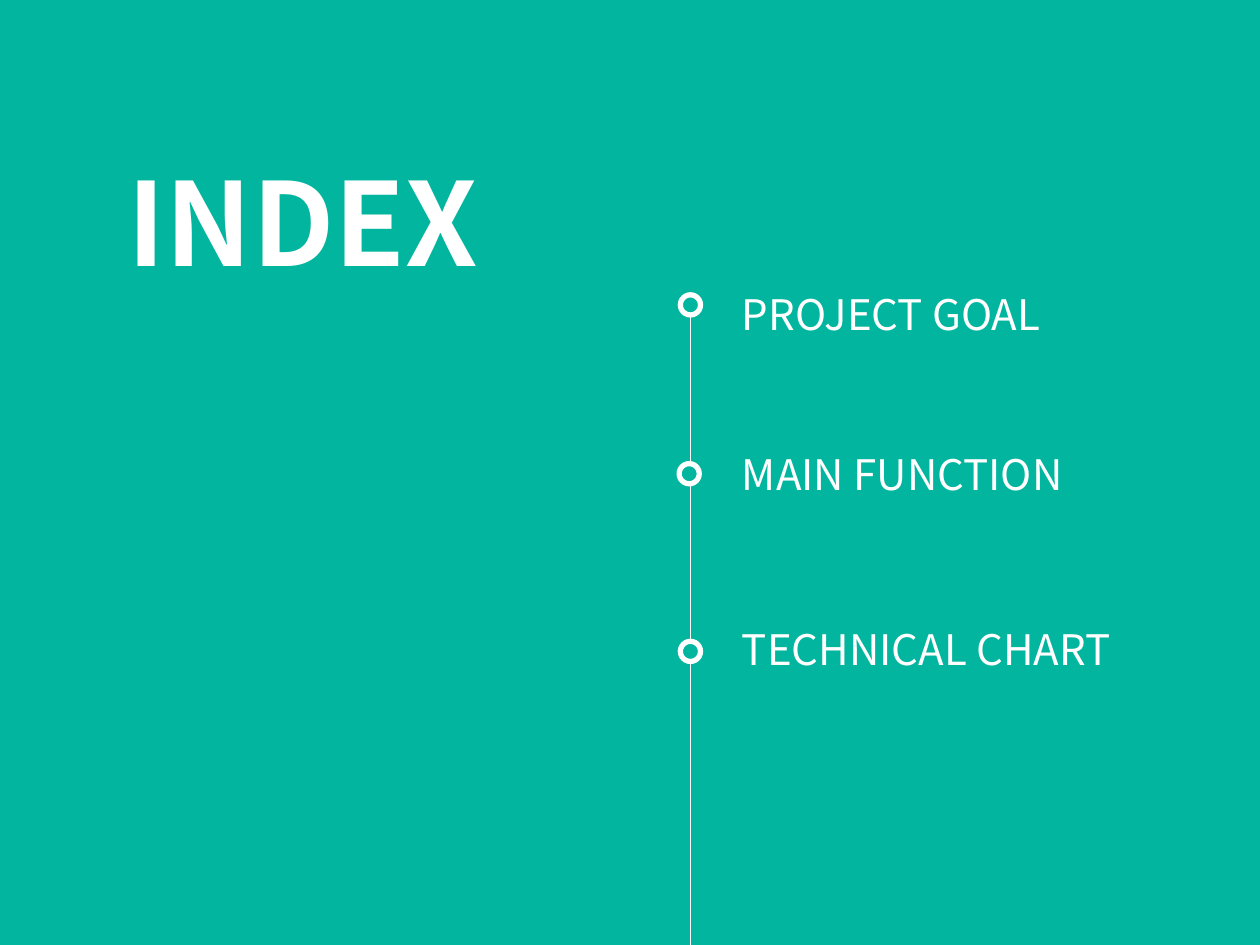
from pptx import Presentation
from pptx.dml.color import RGBColor
from pptx.enum.shapes import MSO_CONNECTOR, MSO_SHAPE
from pptx.enum.text import MSO_ANCHOR, MSO_AUTO_SIZE, PP_ALIGN
from pptx.oxml.ns import qn
from pptx.util import Inches, Pt
from lxml import etree

TEAL = RGBColor(0x02, 0xB5, 0x9F)
WHITE = RGBColor(0xFF, 0xFF, 0xFF)
FONT = "Noto Sans CJK KR"


def set_text(shape, text, size, align, bold=False):
    tf = shape.text_frame
    tf.text = text
    tf.word_wrap = True
    tf.auto_size = MSO_AUTO_SIZE.SHAPE_TO_FIT_TEXT
    tf.vertical_anchor = MSO_ANCHOR.TOP
    p = tf.paragraphs[0]
    p.alignment = align
    font = p.runs[0].font
    font.name, font.size, font.bold = FONT, Pt(size), bold
    font.color.rgb = WHITE


prs = Presentation()
prs.slide_width, prs.slide_height = Inches(10), Inches(7.5)
s = prs.slides.add_slide(prs.slide_layouts[5])
s.background.fill.solid()
s.background.fill.fore_color.rgb = TEAL

# Title
title = s.shapes.title
title.left, title.top = Inches(0.2), Inches(1.15)
title.width, title.height = Inches(4.41), Inches(1.21)
set_text(title, "INDEX", 66, PP_ALIGN.CENTER, bold=True)

# Timeline
line = s.shapes.add_connector(MSO_CONNECTOR.STRAIGHT, Inches(5.48), Inches(2.36),
                              Inches(5.48), Inches(7.5))
line.line.color.rgb = WHITE
line.line.width = Pt(0.75)
etree.SubElement(line._element.spPr, qn("a:effectLst"))

# Index entries: label, label top, marker left, marker top
entries = [
    ("PROJECT GOAL", 2.24, 5.4, 2.34),
    ("MAIN FUNCTION", 3.51, 5.39, 3.68),
    ("TECHNICAL CHART", 4.9, 5.4, 5.09),
]
for label, top, dot_left, dot_top in entries:
    dot = s.shapes.add_shape(MSO_SHAPE.OVAL, Inches(dot_left), Inches(dot_top),
                             Inches(0.16), Inches(0.16))
    dot.shadow.inherit = False
    dot.fill.solid()
    dot.fill.fore_color.rgb = TEAL
    dot.line.color.rgb = WHITE
    dot.line.width = Pt(3)

    box = s.shapes.add_textbox(Inches(5.79), Inches(top), Inches(3.39), Inches(0.5))
    set_text(box, label, 24, PP_ALIGN.LEFT)

prs.save("out.pptx")
